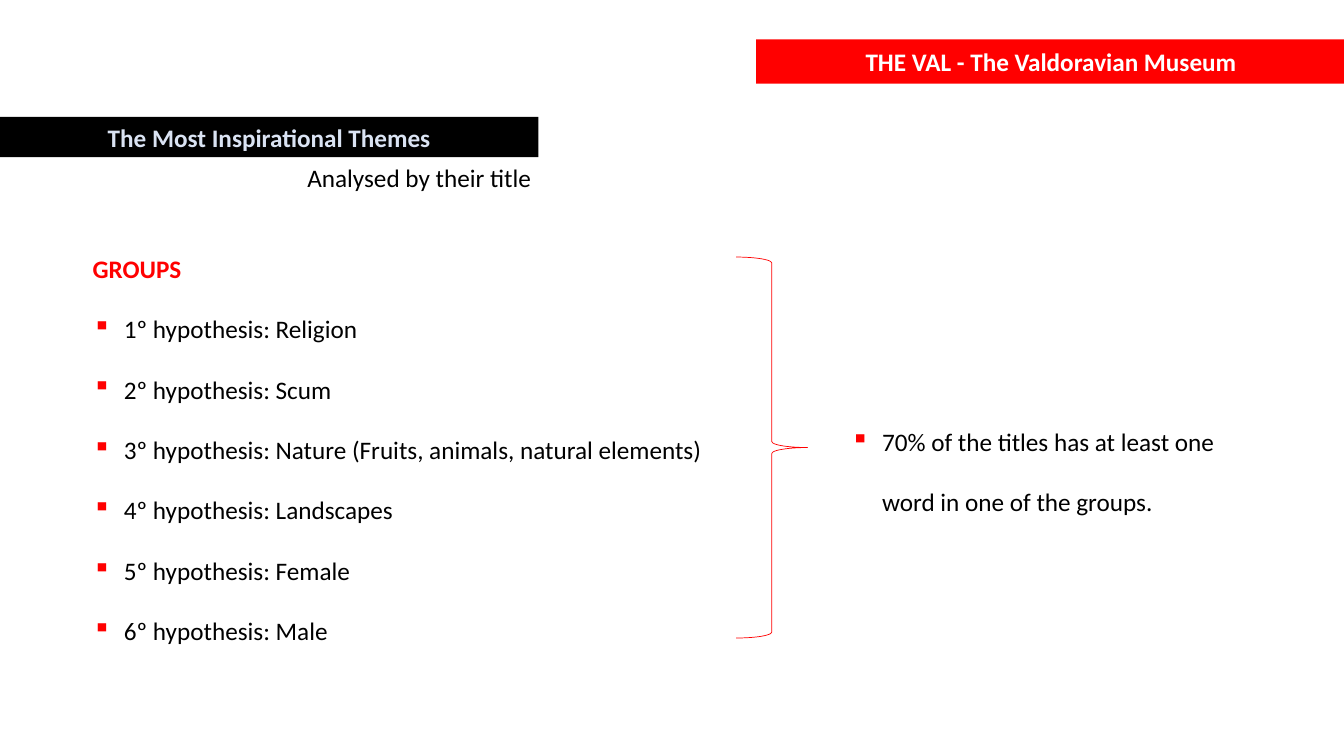
import pptx
import pptx.dml.color
import pptx.enum.shapes
import pptx.enum.text
import pptx.oxml.ns
import pptx.util
from lxml import etree
from pptx.util import Inches

RED = pptx.dml.color.RGBColor(0xFF, 0x00, 0x00)
BLACK = pptx.dml.color.RGBColor(0x00, 0x00, 0x00)
WHITE = pptx.dml.color.RGBColor(0xFF, 0xFF, 0xFF)
PALE_BLUE = pptx.dml.color.RGBColor(0xDA, 0xE3, 0xF3)

SHAPES = pptx.enum.shapes.MSO_SHAPE
ALIGN = pptx.enum.text.PP_ALIGN
GROUPS = [
    "Religion",
    "Scum",
    "Nature (Fruits, animals, natural elements)",
    "Landscapes",
    "Female",
    "Male",
]


def add_bullet(paragraph):
    """Give the paragraph a red square bullet with a hanging indent."""
    properties = paragraph._p.get_or_add_pPr()
    properties.set("marL", str(Inches(0.31)))
    properties.set("indent", str(Inches(-0.31)))
    qn = pptx.oxml.ns.qn
    color = etree.SubElement(properties, qn("a:buClr"))
    etree.SubElement(color, qn("a:srgbClr"), val=str(RED))
    etree.SubElement(properties, qn("a:buChar"), char="▪")


def write_paragraph(paragraph, text, color, bold=False, spacing=None, bullet=False):
    paragraph.text = text
    if spacing:
        paragraph.line_spacing = spacing
    if bullet:
        add_bullet(paragraph)
    font = paragraph.font
    font.name = "Calibri"
    font.size = pptx.util.Pt(18)
    font.bold = bold
    font.color.rgb = color


def add_banner(slide, left, top, width, height, text, fill, color):
    banner = slide.shapes.add_shape(
        SHAPES.RECTANGLE, Inches(left), Inches(top), Inches(width), Inches(height))
    banner.shadow.inherit = False
    banner.fill.solid()
    banner.fill.fore_color.rgb = fill
    banner.line.fill.background()
    frame = banner.text_frame
    frame.vertical_anchor = pptx.enum.text.MSO_ANCHOR.MIDDLE
    paragraph = frame.paragraphs[0]
    paragraph.alignment = ALIGN.CENTER
    write_paragraph(paragraph, text, color, bold=True)


def add_text(slide, left, top, width, height):
    """Add a wrapping text box and return its text frame."""
    box = slide.shapes.add_textbox(
        Inches(left), Inches(top), Inches(width), Inches(height))
    frame = box.text_frame
    frame.word_wrap = True
    frame.auto_size = pptx.enum.text.MSO_AUTO_SIZE.SHAPE_TO_FIT_TEXT
    return frame


def add_brace(slide, left, top, width, height):
    brace = slide.shapes.add_shape(
        SHAPES.RIGHT_BRACE, Inches(left), Inches(top), Inches(width), Inches(height))
    brace.shadow.inherit = False
    brace.fill.background()
    brace.line.color.rgb = RED
    brace.line.width = pptx.util.Pt(0.5)


def main():
    presentation = pptx.Presentation()
    presentation.slide_width = Inches(13.33)
    presentation.slide_height = Inches(7.5)
    slide = presentation.slides.add_slide(presentation.slide_layouts[6])

    # Headings
    add_banner(slide, 7.5, 0.39, 5.85, 0.44,
               "THE VAL - The Valdoravian Museum", RED, WHITE)
    add_banner(slide, 0, 1.16, 5.34, 0.4,
               "The Most Inspirational Themes", BLACK, PALE_BLUE)
    subtitle = add_text(slide, 2.95, 1.56, 2.46, 0.4)
    write_paragraph(subtitle.paragraphs[0], "Analysed by their title", BLACK)

    # Hypothesis groups
    groups = add_text(slide, 0.82, 2.16, 6.48, 4.26)
    write_paragraph(groups.paragraphs[0], "GROUPS", RED, bold=True, spacing=2.0)
    for number, group in enumerate(GROUPS, start=1):
        write_paragraph(groups.add_paragraph(), f"{number}º hypothesis: {group}",
                        BLACK, spacing=2.0, bullet=True)

    # Conclusion
    add_brace(slide, 7.3, 2.55, 0.71, 3.78)
    conclusion = add_text(slide, 8.34, 3.88, 4.35, 1.23)
    write_paragraph(conclusion.paragraphs[0],
                    "70% of the titles has at least one word in one of the groups.",
                    BLACK, spacing=2.0, bullet=True)

    presentation.save("out.pptx")


if __name__ == "__main__":
    main()
